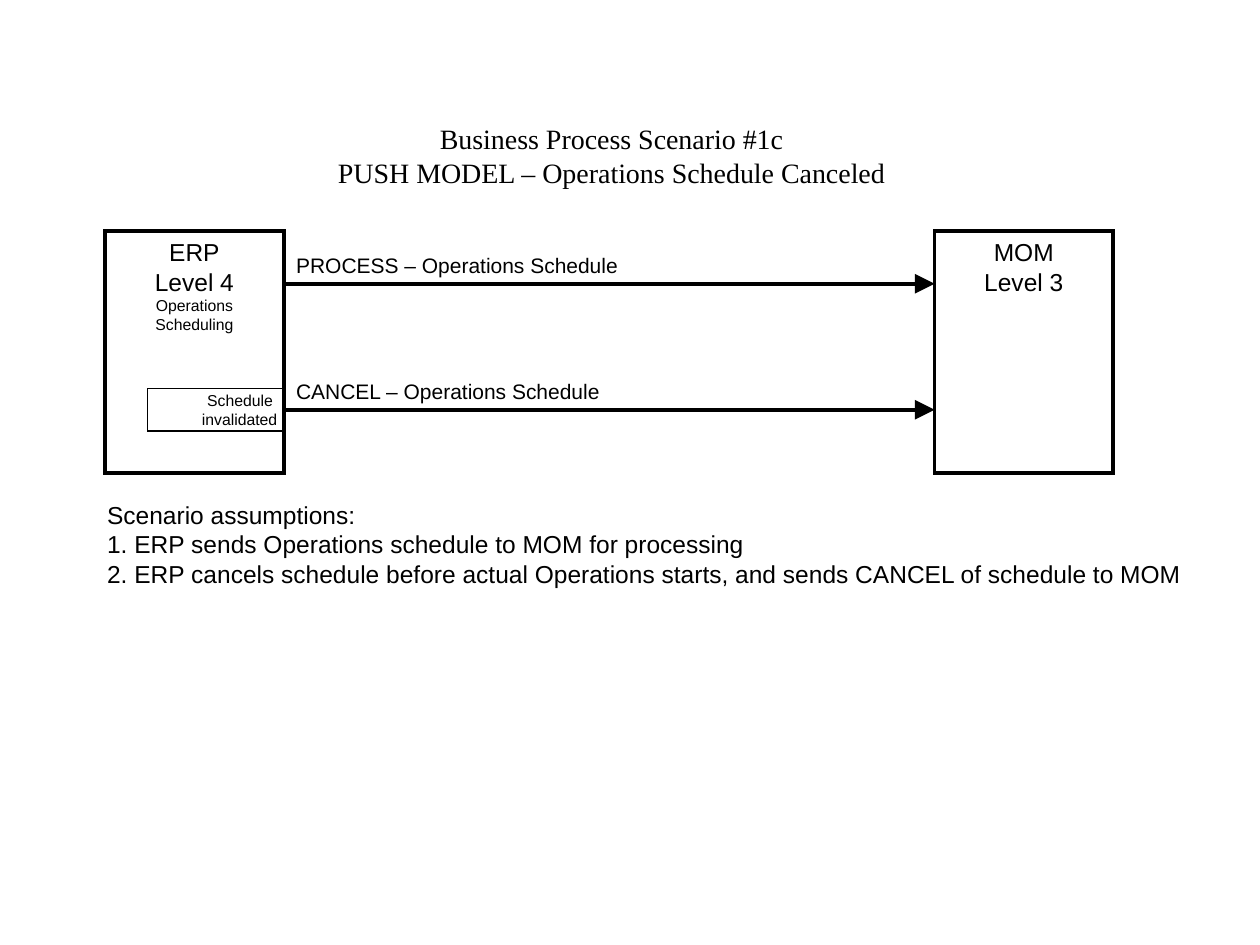
"""Build the Business Process Scenario #1c slide."""
import pptx
import pptx.dml.color
import pptx.enum.shapes
import pptx.enum.text
import pptx.oxml
import pptx.oxml.ns
import pptx.util

Cm = pptx.util.Cm
Pt = pptx.util.Pt
ALIGN = pptx.enum.text.PP_ALIGN
ANCHOR = pptx.enum.text.MSO_ANCHOR
AUTO_SIZE = pptx.enum.text.MSO_AUTO_SIZE
RECTANGLE = pptx.enum.shapes.MSO_SHAPE.RECTANGLE
STRAIGHT = pptx.enum.shapes.MSO_CONNECTOR.STRAIGHT
NS = pptx.oxml.ns.nsdecls("a")
BLACK = pptx.dml.color.RGBColor(0x00, 0x00, 0x00)
WHITE = pptx.dml.color.RGBColor(0xFF, 0xFF, 0xFF)


def write(s, lines, align, wrap, font="Arial", anchor=ANCHOR.TOP):
    tf = s.text_frame
    tf.word_wrap = wrap
    tf.vertical_anchor = anchor
    for i, (text, size) in enumerate(lines):
        p = tf.add_paragraph() if i else tf.paragraphs[0]
        p.alignment = align
        r = p.add_run()
        r.text = text
        r.font.name = font
        r.font.size = Pt(size)
        r.font.color.rgb = BLACK


def add_box(left, top, width, height, line_width):
    s = slide.shapes.add_shape(RECTANGLE, Cm(left), Cm(top), Cm(width), Cm(height))
    s.shadow.inherit = False
    s.fill.solid()
    s.fill.fore_color.rgb = WHITE
    s.line.color.rgb = BLACK
    s.line.width = Pt(line_width)
    ln = s.line.fill._xPr
    ln.append(pptx.oxml.parse_xml(f'<a:miter {NS} lim="800000"/>'))
    return s


prs = pptx.Presentation()
prs.slide_width = Cm(25.4)
prs.slide_height = Cm(19.05)
slide = prs.slides.add_slide(prs.slide_layouts[6])

systems = [
    (2.12, [("ERP", 14), ("Level 4", 14), ("Operations Scheduling", 9)]),
    (18.84, [("MOM", 14), ("Level 3", 14)]),
]
for left, lines in systems:
    s = add_box(left, 4.66, 3.6, 4.87, 2.25)
    write(s, lines, ALIGN.CENTER, True)

invalidated = add_box(2.97, 7.83, 2.75, 0.86, 0.75)
invalidated.fill.background()
tf = invalidated.text_frame
tf.margin_left = tf.margin_right = tf.margin_top = tf.margin_bottom = Cm(0.13)
write(invalidated, [("Schedule ", 9), ("invalidated", 9)], ALIGN.RIGHT, False,
      anchor=ANCHOR.MIDDLE)

messages = [
    ("PROCESS – Operations Schedule", 5.72, 7.2, None),
    ("CANCEL – Operations Schedule", 8.26, 6.8, invalidated),
]
for text, y, width, source in messages:
    s = slide.shapes.add_connector(STRAIGHT, Cm(5.72), Cm(y), Cm(18.84), Cm(y))
    if source is not None:
        s.begin_connect(source, 3)
    s.line.color.rgb = BLACK
    s.line.width = Pt(2.25)
    ln = s.line.fill._xPr
    ln.append(pptx.oxml.parse_xml(
        f'<a:tailEnd {NS} type="triangle" w="lg" len="lg"/>'))
    ln.getparent().append(pptx.oxml.parse_xml(f'<a:effectLst {NS}/>'))

    s = slide.shapes.add_textbox(Cm(5.72), Cm(y - 0.76), Cm(width), Cm(0.76))
    write(s, [(text, 12)], ALIGN.LEFT, False)

s = slide.shapes.add_textbox(Cm(1.91), Cm(9.95), Cm(22.23), Cm(2.54))
assumptions = [
    "Scenario assumptions:",
    "1. ERP sends Operations schedule to MOM for processing",
    "2. ERP cancels schedule before actual Operations starts, "
    "and sends CANCEL of schedule to MOM",
]
write(s, [(text, 14) for text in assumptions], ALIGN.LEFT, True)

s = slide.shapes.add_textbox(Cm(6.55), Cm(2.33), Cm(11.56), Cm(1.63))
title = ["Business Process Scenario #1c", "PUSH MODEL – Operations Schedule Canceled"]
write(s, [(text, 16) for text in title], ALIGN.CENTER, False, font="Times New Roman")
s.text_frame.auto_size = AUTO_SIZE.SHAPE_TO_FIT_TEXT

prs.save("out.pptx")
